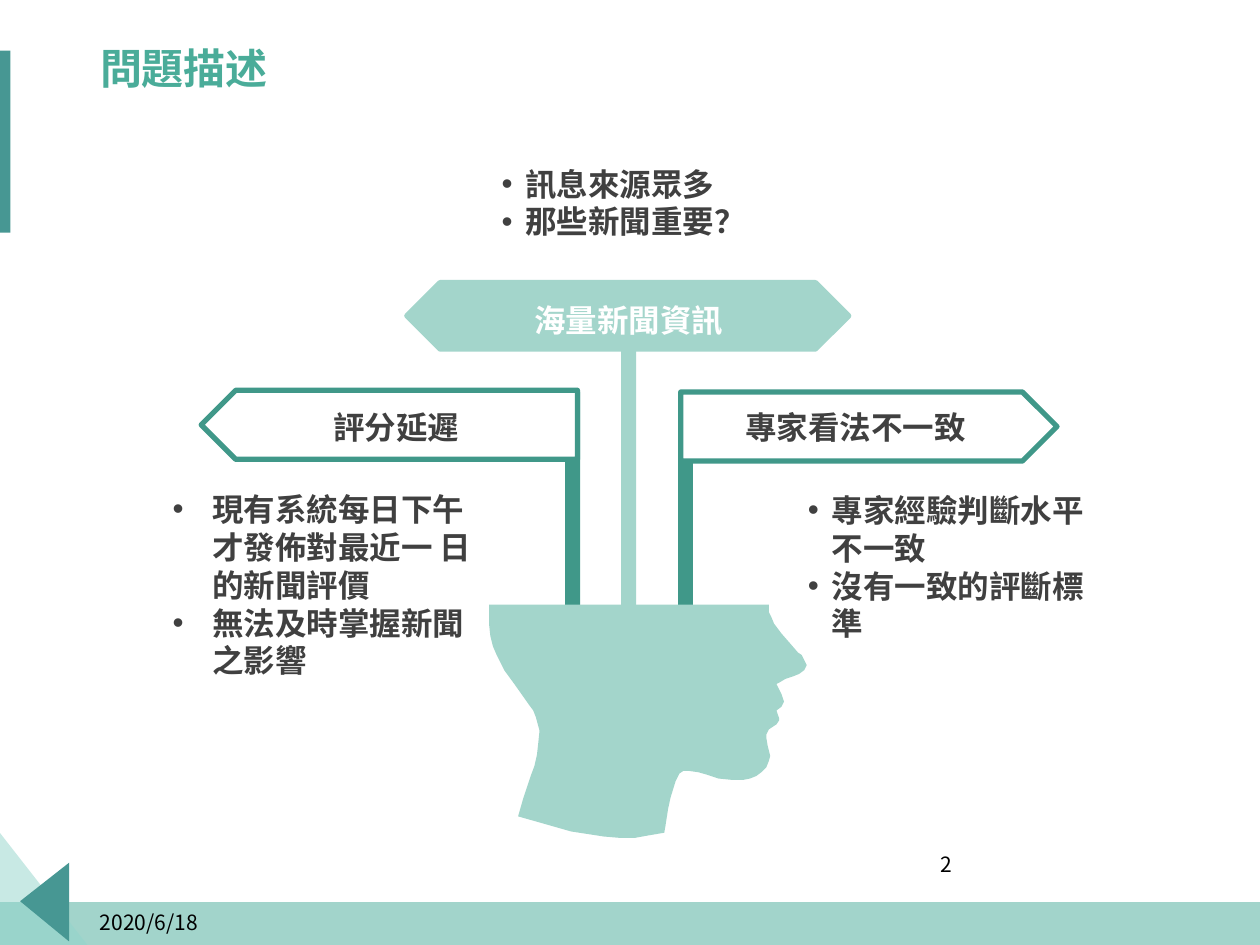
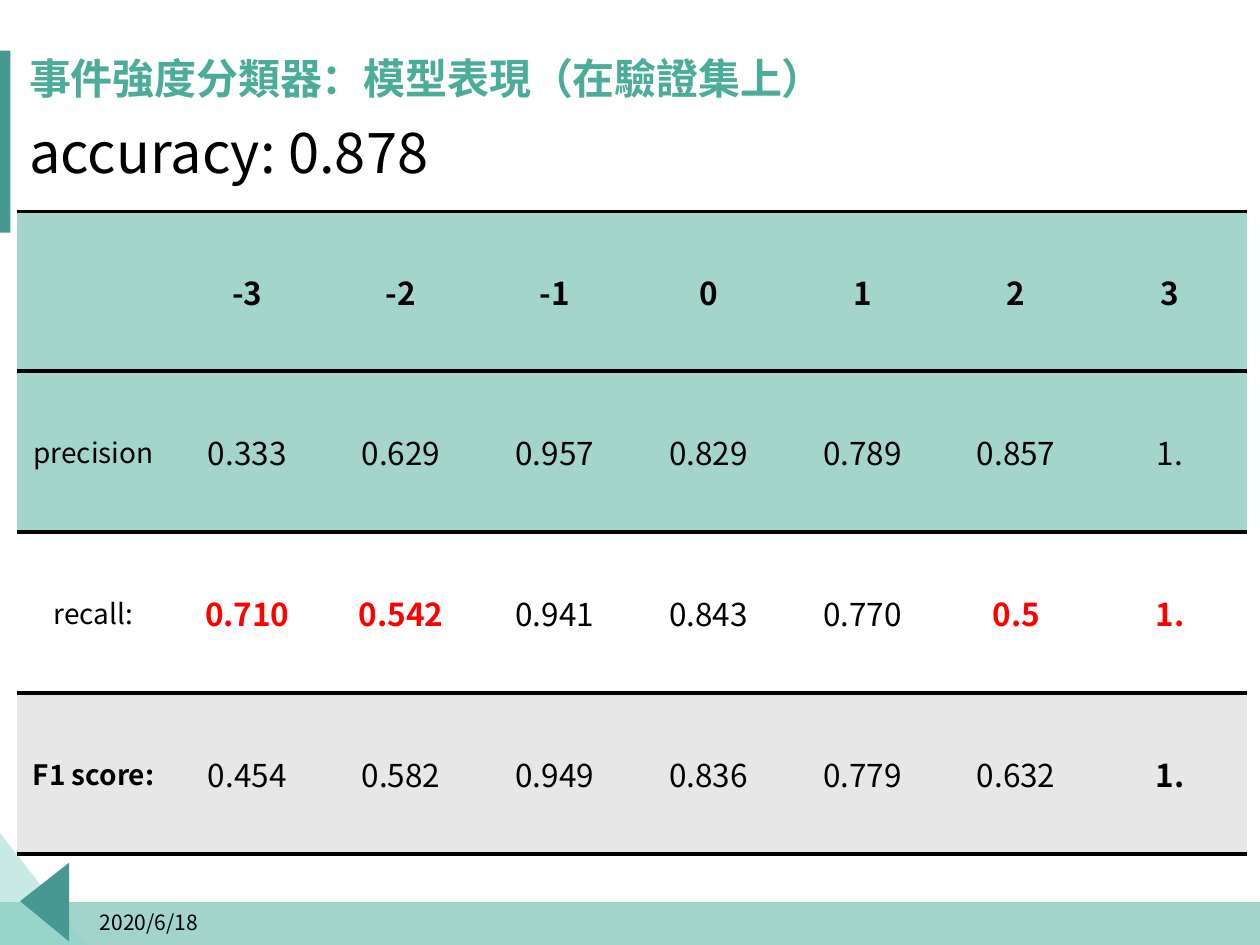
from lxml.etree import SubElement
from pptx import Presentation
from pptx.dml.color import RGBColor
from pptx.enum.shapes import MSO_SHAPE as Preset
from pptx.enum.text import MSO_ANCHOR as Anchor, MSO_AUTO_SIZE as AutoSize, PP_ALIGN as Align
from pptx.oxml.ns import qn
from pptx.util import Pt

TEAL, DEEP, SIGN, MINT, PALE = "4AAC99", "479793", "409889", "A3D5CB", "92D4CB"
INK, BLACK, WHITE, RED, GREY = "404040", "000000", "FFFFFF", "FF0000", "E7E7E7"
SC, TC = "Noto Sans CJK SC", "Noto Sans CJK TC"

TITLE = {"size": Pt(24), "bold": True}
STRONG = {"size": Pt(18), "bold": True}
FOOTER = {"size": Pt(12), "bold": False}
FIGURE = {"size": Pt(18), "bold": False}
ROW_NAME = {"size": Pt(16), "bold": False}
HEADLINE = {"size": Pt(32), "bold": False}

# Profile facing right, on a grid 252 wide and 185 high
HEAD_WIDTH = 252
HEAD = [
    (0, 0), (222, 0), (222, 6), (224, 10), (226, 15), (232, 23), (239, 31),
    (245, 38), (248, 40), (251, 46), (252, 48), (251, 50), (250, 52), (246, 55),
    (241, 57), (235, 59), (230, 62), (228, 63), (229, 65), (232, 71), (234, 77),
    (233, 79), (232, 81), (228, 84), (229, 87), (230, 90), (230, 92), (228, 95),
    (225, 97), (222, 99), (221, 101), (220, 103), (220, 106), (221, 112),
    (223, 120), (222, 124), (220, 129), (216, 133), (212, 136), (207, 138),
    (202, 139), (192, 139), (182, 138), (173, 135), (166, 133), (159, 132),
    (154, 132), (151, 134), (148, 140), (144, 153), (142, 162), (140, 175),
    (139, 181), (127, 183), (116, 185), (103, 185), (91, 184), (65, 180),
    (37, 172), (23, 168), (27, 154), (30, 145), (33, 136), (36, 128), (38, 119),
    (39, 110), (40, 100), (37, 89), (35, 84), (32, 80), (20, 63), (12, 52),
    (6, 40), (3, 33), (1, 25), (0, 16), (0, 8),
]

SCORES = [
    ["", "-3", "-2", "-1", "0", "1", "2", "3"],
    ["precision", "0.333", "0.629", "0.957", "0.829", "0.789", "0.857", "1."],
    ["recall:", "0.710", "0.542", "0.941", "0.843", "0.770", "0.5", "1."],
    ["F1 score:", "0.454", "0.582", "0.949", "0.836", "0.779", "0.632", "1."],
]
ROW_FILLS = [MINT, MINT, WHITE, GREY]
RED_CELLS = {(2, 1), (2, 2), (2, 6), (2, 7)}
BOLD_CELLS = RED_CELLS | {(3, 0), (3, 7)}


def rgb(value):
    return RGBColor.from_string(value)


def points(box):
    return [Pt(length) for length in box]


def inside(box, left, top, width, height):
    """Shift a part's box by the corner of the box around it."""
    return box[0] + left, box[1] + top, width, height


def set_all(target, values):
    for key, value in values.items():
        setattr(target, key, value)


def paint(shape, fill, line=None, opacity=None):
    shape.shadow.inherit = False
    shape.fill.solid()
    shape.fill.fore_color.rgb = rgb(fill)
    if opacity:
        color = next(shape.element.spPr.iter(qn("a:srgbClr")))
        SubElement(color, qn("a:alpha"), val=str(opacity * 1000))
    if line:
        shape.line.color.rgb = rgb(line)
        shape.line.width = Pt(3)
    else:
        shape.line.fill.background()
    return shape


def add_preset(slide, preset, box, fill, **look):
    return paint(slide.shapes.add_shape(preset, *points(box)), fill, **look)


def add_outline(slide, corners, origin, scale, fill, **look):
    builder = slide.shapes.build_freeform(*corners[0], scale=Pt(1) * scale)
    builder.add_line_segments(corners[1:], close=True)
    return paint(builder.convert_to_shape(*points(origin)), fill, **look)


def write(paragraph, text, style, color, face, align=Align.LEFT):
    paragraph.alignment = align
    run = paragraph.add_run()
    run.text = text
    set_all(run.font, {**style, "name": face})
    run.font.color.rgb = rgb(color)
    SubElement(run.font._element, qn("a:ea"), typeface=face)
    return run


def add_label(slide, box, text, style, color, face, align=Align.LEFT, anchor=Anchor.TOP):
    frame = slide.shapes.add_textbox(*points(box)).text_frame
    set_all(frame, {"word_wrap": True, "vertical_anchor": anchor})
    write(frame.paragraphs[0], text, style, color, face, align)


def claim(placeholder, box, anchor):
    """Move a placeholder and return its text frame, ready for writing."""
    set_all(placeholder, dict(zip(("left", "top", "width", "height"), points(box))))
    frame = placeholder.text_frame
    set_all(frame, {"word_wrap": True, "auto_size": AutoSize.NONE, "vertical_anchor": anchor})
    return frame


def set_title(slide, box, text, face):
    paragraph = claim(slide.shapes.title, box, Anchor.MIDDLE).paragraphs[0]
    paragraph.line_spacing = 0.9
    write(paragraph, text, TITLE, TEAL, face).font._element.set("spc", "-10")


def set_list(placeholder, box, items, indent):
    frame = claim(placeholder, box, Anchor.TOP)
    for index, item in enumerate(items):
        paragraph = frame.add_paragraph() if index else frame.paragraphs[0]
        set_all(paragraph, {"space_before": Pt(0), "space_after": Pt(0), "line_spacing": 1.0})
        write(paragraph, item, STRONG, INK, SC)
        properties = paragraph._p.get_or_add_pPr()
        properties.set("marL", str(Pt(indent)))
        properties.set("indent", str(-Pt(indent)))
        SubElement(properties, qn("a:buFont"), typeface="Arial")
        SubElement(properties, qn("a:buChar"), char="•")


def decorate_master(master, slide):
    """Draw the shared decoration on a slide, then hand it to the master."""
    parts = [
        add_preset(slide, Preset.RECTANGLE, (0, 515.5, 720, 24.5), TEAL, opacity=51),
        add_outline(slide, [(0, 0), (50, 64), (0, 64)], (0, 476), 1, PALE, opacity=50),
        add_outline(slide, [(27.5, 0), (27.5, 45), (0, 22.5)], (11.5, 493), 1, DEEP),
        add_preset(slide, Preset.RECTANGLE, (-6, 29, 12, 104), DEEP),
    ]
    for number, part in enumerate(parts, start=101):
        part.element.nvSpPr.cNvPr.set("id", str(number))
        master.shapes.element.append(part.element)


def add_date(slide):
    add_label(slide, (50, 512.5, 162, 29), "2020/6/18", FOOTER, BLACK, TC, anchor=Anchor.MIDDLE)


def draw_signpost(slide, box):
    """Three signs on posts that rise from a head."""
    post_foot, post_width = 198.5, 8.5
    for left, top, color in ((272.5, 62.5, SIGN), (240, 37.5, MINT), (208, 62.5, SIGN)):
        post = inside(box, left, top, post_width, post_foot - top)
        add_preset(slide, Preset.RECTANGLE, post, color)

    head = inside(box, 164.5, 184, 181.5, 133)
    add_outline(slide, HEAD, head[:2], head[2] / HEAD_WIDTH, MINT)

    signs = [
        (Preset.PENTAGON, (274, 62.5, 215, 39.5), WHITE, SIGN),
        (Preset.PENTAGON, (0, 61.5, 215, 39.5), WHITE, SIGN),
        (Preset.HEXAGON, (117.5, 0, 252.5, 38), MINT, MINT),
    ]
    right, left, top = [
        add_preset(slide, preset, inside(box, *place), fill, line=line)
        for preset, place, fill, line in signs
    ]
    left.element.spPr.xfrm.set("flipH", "1")
    top.adjustments[0] = 0.5

    for place, text, color in (
        ((181, 7, 126.5, 29), "海量新聞資訊", WHITE),
        ((34, 68, 155, 29), "評分延遲", INK),
        ((290.5, 68, 166.5, 29), "專家看法不一致", INK),
    ):
        add_label(slide, inside(box, *place), text, STRONG, color, SC, Align.CENTER)


def build_problem(slide):
    set_title(slide, (50, 16.5, 620.5, 47.5), "問題描述", SC)
    draw_signpost(slide, (115, 161.5))
    lists = [
        ((279.5, 90.5, 229, 51), 13.5, ["訊息來源眾多", "那些新聞重要？"]),
        ((91.5, 276.5, 188, 116.5), 22.5,
         ["現有系統每⽇下午才發佈對最近⼀ ⽇的新聞評價", "無法及時掌握新聞之影響"]),
        ((454.5, 277, 175.5, 116.5), 13.5,
         ["專家經驗判斷⽔平 不⼀致", "沒有一致的評斷標準"]),
    ]
    bodies = [p for p in slide.placeholders if p.placeholder_format.idx > 0]
    for body, (box, indent, items) in zip(bodies, lists):
        set_list(body, box, items, indent)
    for spare in bodies[len(lists):]:
        spare.element.getparent().remove(spare.element)
    add_date(slide)
    add_label(slide, (389, 479.5, 162, 29), "2", FOOTER, BLACK, TC, Align.RIGHT, Anchor.MIDDLE)


def rule_cell(cell):
    """Black rules above and below, none at the sides."""
    properties = cell._tc.get_or_add_tcPr()
    for side in ("L", "R"):
        SubElement(SubElement(properties, qn("a:ln" + side), w="0"), qn("a:noFill"))
    for side in ("T", "B"):
        rule = SubElement(properties, qn("a:ln" + side), w=str(Pt(2.25)))
        SubElement(SubElement(rule, qn("a:solidFill")), qn("a:srgbClr"), val=BLACK)


def add_scores(slide, box):
    table = slide.shapes.add_table(len(SCORES), len(SCORES[0]), *points(box)).table
    set_all(table, {"first_row": False, "horz_banding": False})
    for index, row in enumerate(table.rows):
        row.height = Pt(92 if index else 91)
    for r, row in enumerate(SCORES):
        for c, text in enumerate(row):
            cell = table.cell(r, c)
            rule_cell(cell)
            cell.vertical_anchor = Anchor.MIDDLE
            cell.fill.solid()
            cell.fill.fore_color.rgb = rgb(ROW_FILLS[r])
            if not text:
                continue
            style = dict(FIGURE if c else ROW_NAME, bold=r == 0 or (r, c) in BOLD_CELLS)
            color = RED if (r, c) in RED_CELLS else BLACK
            face = TC if r and c else SC
            write(cell.text_frame.paragraphs[0], text, style, color, face, Align.CENTER)


def build_performance(slide):
    set_title(slide, (9.5, 22.5, 544, 47.5), "事件強度分類器：模型表現（在驗證集上）", TC)
    add_date(slide)
    add_scores(slide, (9.5, 121, 703, 367))
    add_label(slide, (9.5, 63.5, 710.5, 67.5), "accuracy: 0.878", HEADLINE, BLACK, TC)


def main():
    deck = Presentation()
    set_all(deck, {"slide_width": Pt(720), "slide_height": Pt(540)})
    comparison, title_only = deck.slide_layouts[4], deck.slide_layouts[5]
    problem = deck.slides.add_slide(comparison)
    decorate_master(deck.slide_master, problem)
    build_problem(problem)
    build_performance(deck.slides.add_slide(title_only))
    deck.save("out.pptx")


if __name__ == "__main__":
    main()
